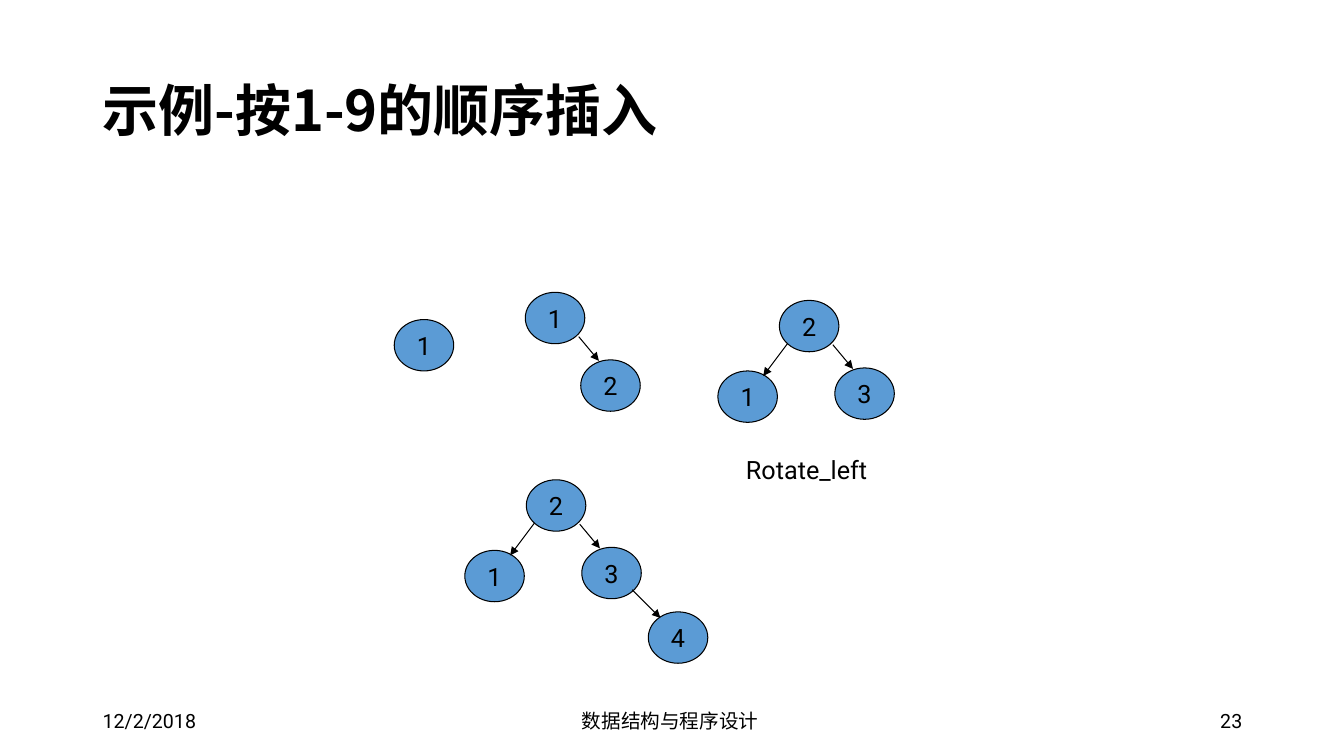
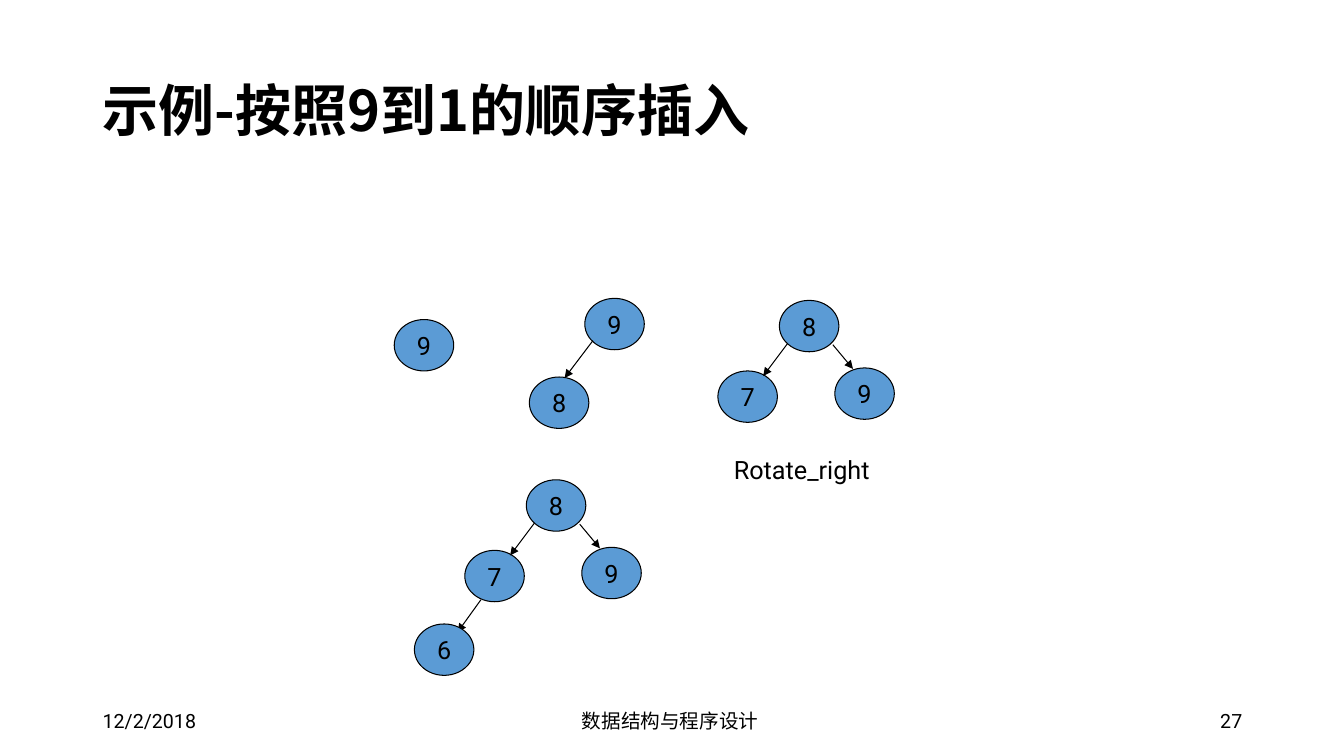
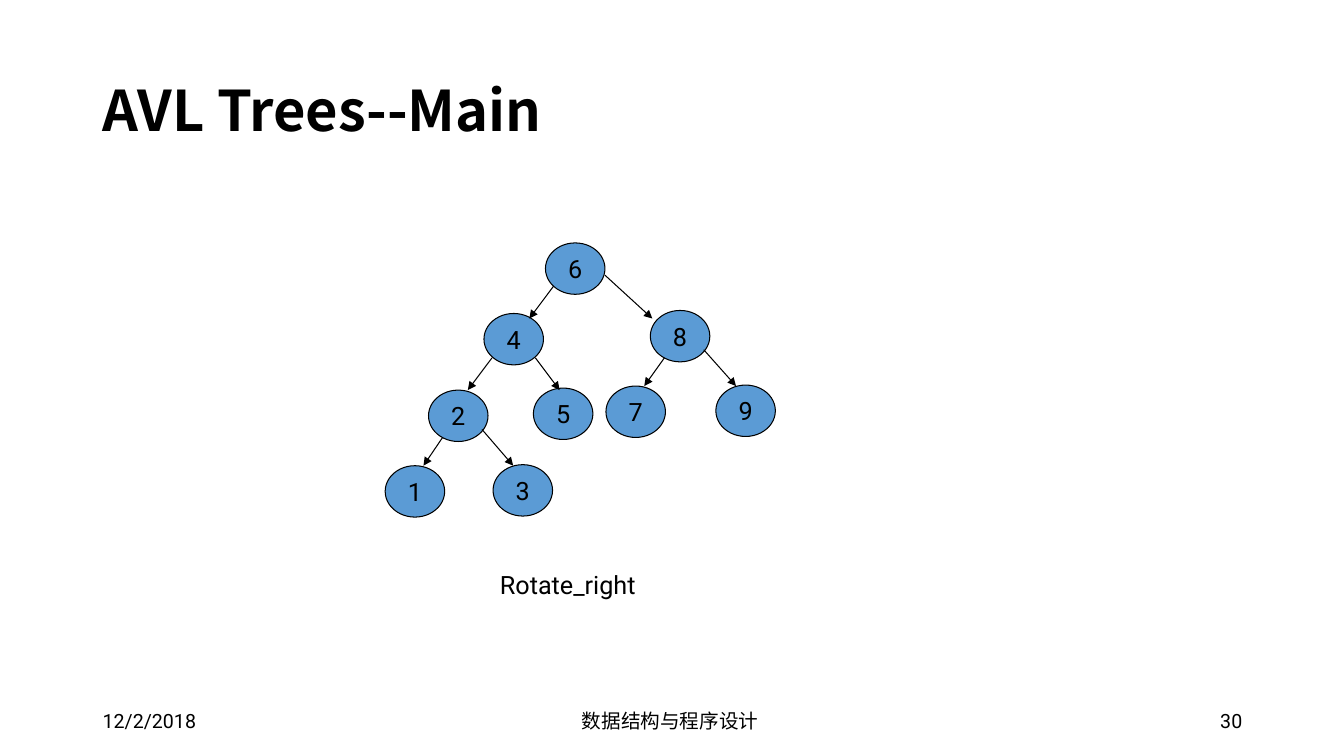
import pptx
import pptx.util
import pptx.dml.color
import pptx.enum.shapes
import pptx.enum.text
import pptx.oxml.ns
from lxml import etree

PX = 9144
SLIDE_WIDTH, SLIDE_HEIGHT = 1333, 750
NODE_WIDTH, NODE_HEIGHT = 59, 51
BLACK, NODE_BLUE = "000000", "5B9BD5"
BODY_FONT, CJK_FONT = "Roboto", "Noto Sans CJK SC"
ALIGN = pptx.enum.text.PP_ALIGN
ANCHOR = pptx.enum.text.MSO_ANCHOR

LEFT = ((8, 43), (45, 5))
RIGHT = ((53, 44), (18, 1))
STEEP_LEFT = ((14, 47), (38, 0))
STEEP_RIGHT = ((53, 39), (20, 1))


def px(*lengths):
    return [pptx.util.Emu(length * PX) for length in lengths]


def color(value):
    return pptx.dml.color.RGBColor.from_string(value)


def set_text(frame, text, size, align=ALIGN.LEFT, font=BODY_FONT, bold=False):
    paragraph = frame.paragraphs[0]
    paragraph.text = text
    paragraph.alignment = align
    paragraph.font.size = pptx.util.Pt(size)
    paragraph.font.bold = bold
    paragraph.font.color.rgb = color(BLACK)
    paragraph.font.name = font
    qn = pptx.oxml.ns.qn
    defaults = paragraph._p.pPr.find(qn("a:defRPr"))
    etree.SubElement(defaults, qn("a:ea"), typeface=CJK_FONT)
    return paragraph


def add_text(slide, box, text, size, anchor=ANCHOR.MIDDLE, **style):
    frame = slide.shapes.add_textbox(*px(*box)).text_frame
    frame.word_wrap = True
    frame.vertical_anchor = anchor
    return set_text(frame, text, size, **style)


def add_slide(deck, title, number):
    slide = deck.slides.add_slide(deck.slide_layouts[6])
    add_text(slide, (92, 695, 300, 40), "12/2/2018", 14)
    add_text(slide, (442, 695, 450, 40), "数据结构与程序设计 ", 14, align=ALIGN.CENTER)
    add_text(slide, (942, 695, 300, 40), number, 14, align=ALIGN.RIGHT)
    heading = add_text(slide, (92, 40, 1150, 145), title, 40, font=CJK_FONT, bold=True)
    heading.line_spacing = 0.9
    return slide


def add_caption(slide, x, y, text):
    add_text(slide, (x, y, 189, 40), text, 18, anchor=ANCHOR.TOP)


def add_node(slide, key, position):
    oval = pptx.enum.shapes.MSO_SHAPE.OVAL
    node = slide.shapes.add_shape(oval, *px(*position, NODE_WIDTH, NODE_HEIGHT))
    node.shadow.inherit = False
    node.fill.solid()
    node.fill.fore_color.rgb = color(NODE_BLUE)
    node.line.color.rgb = color(BLACK)
    node.line.width = pptx.util.Pt(0.75)
    node.text_frame.word_wrap = False
    node.text_frame.vertical_anchor = ANCHOR.MIDDLE
    set_text(node.text_frame, key, 18, align=ALIGN.CENTER)


def add_arrow(slide, parent, child, joints):
    start, end = joints
    straight = pptx.enum.shapes.MSO_CONNECTOR.STRAIGHT
    arrow = slide.shapes.add_connector(
        straight,
        *px(parent[0] + start[0], parent[1] + start[1], child[0] + end[0], child[1] + end[1]),
    )
    arrow.line.color.rgb = color(BLACK)
    arrow.line.width = pptx.util.Pt(0.75)
    qn = pptx.oxml.ns.qn
    etree.SubElement(arrow.line._get_or_add_ln(), qn("a:tailEnd"), type="triangle")
    etree.SubElement(arrow._element.spPr, qn("a:effectLst"))


def add_tree(slide, nodes, links=()):
    for key, position in nodes.items():
        add_node(slide, key, position)
    for parent, child, joints in links:
        add_arrow(slide, nodes[parent], nodes[child], joints)


def add_balanced_tree(slide, x, y, keys):
    left, root, right = keys
    nodes = {root: (x, y), right: (x + 55, y + 67), left: (x - 61, y + 70)}
    add_tree(slide, nodes, [(root, right, RIGHT), (root, left, LEFT)])
    return nodes


def add_insertion_steps(slide, first, pair, pair_link, keys, parent, new_key, position, joints):
    add_tree(slide, {first: (391, 317)})
    add_tree(slide, pair, [pair_link])
    add_balanced_tree(slide, 773, 298, keys)
    nodes = add_balanced_tree(slide, 522, 476, keys)
    add_arrow(slide, nodes[parent], position, joints)
    add_node(slide, new_key, position)


def build_ascending(deck):
    slide = add_slide(deck, "示例-按1-9的顺序插入", "23")
    add_insertion_steps(
        slide, "1", {"1": (521, 290), "2": (576, 357)}, ("1", "2", RIGHT),
        "123", "3", "4", (643, 607), ((50, 42), (12, 6)),
    )
    add_caption(slide, 730, 446, "Rotate_left")


def build_descending(deck):
    slide = add_slide(deck, "示例-按照9到1的顺序插入", "27")
    add_insertion_steps(
        slide, "9", {"9": (580, 296), "8": (525, 374)}, ("9", "8", ((8, 42), (35, 1))),
        "789", "7", "6", (411, 619), ((16, 49), (43, 8)),
    )
    add_caption(slide, 718, 446, "Rotate_right")


def build_final_tree(deck):
    slide = add_slide(deck, "AVL Trees--Main", "30")
    nodes = {
        "6": (541, 241),
        "8": (645, 308),
        "4": (480, 311),
        "9": (710, 382),
        "5": (529, 385),
        "2": (425, 387),
        "7": (601, 383),
        "3": (489, 461),
        "1": (382, 462),
    }
    links = [
        ("6", "4", LEFT),
        ("6", "8", ((59, 32), (2, 8))),
        ("4", "2", ((8, 44), (39, 0))),
        ("4", "5", ((51, 44), (26, 2))),
        ("8", "7", STEEP_LEFT),
        ("8", "9", STEEP_RIGHT),
        ("2", "1", STEEP_LEFT),
        ("2", "3", STEEP_RIGHT),
    ]
    add_tree(slide, nodes, links)
    add_caption(slide, 486, 560, "Rotate_right")


def main():
    deck = pptx.Presentation()
    deck.slide_width, deck.slide_height = px(SLIDE_WIDTH, SLIDE_HEIGHT)
    build_ascending(deck)
    build_descending(deck)
    build_final_tree(deck)
    deck.save("out.pptx")


if __name__ == "__main__":
    main()
